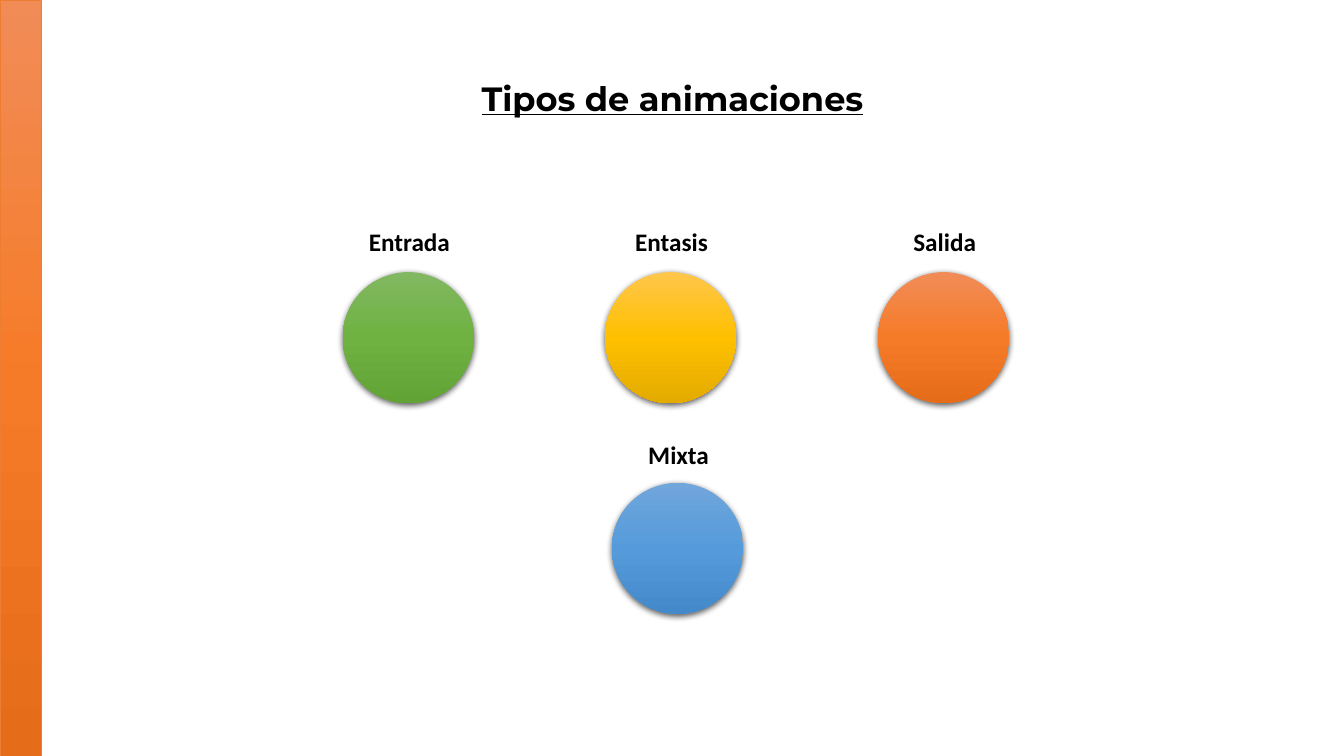
from copy import deepcopy

from lxml.etree import SubElement
from pptx import Presentation
from pptx.dml.color import RGBColor
from pptx.enum.shapes import MSO_SHAPE
from pptx.enum.text import MSO_ANCHOR, MSO_AUTO_SIZE, PP_ALIGN
from pptx.oxml.ns import qn
from pptx.util import Inches, Pt

BLACK = RGBColor(0x00, 0x00, 0x00)
ORANGE_LINE = RGBColor(0xED, 0x7D, 0x31)
GREEN = (RGBColor(0x81, 0xB8, 0x61), RGBColor(0x6F, 0xB2, 0x42), RGBColor(0x62, 0xA3, 0x36))
YELLOW = (RGBColor(0xFF, 0xC6, 0x4B), RGBColor(0xFF, 0xC0, 0x00), RGBColor(0xE3, 0xAB, 0x00))
ORANGE = (RGBColor(0xF1, 0x8C, 0x57), RGBColor(0xF6, 0x7B, 0x28), RGBColor(0xE5, 0x6C, 0x19))
BLUE = (RGBColor(0x71, 0xA6, 0xDB), RGBColor(0x55, 0x9B, 0xDB), RGBColor(0x44, 0x8A, 0xCA))

DIAMETER = 1.3
LABEL_HEIGHT = 0.4
# Label, label width, label top, circle left, circle top, gradient
ANIMATIONS = (
    ("Entrada", 1.01, 2.2, 3.4, 2.7, GREEN),
    ("Entasis", 0.93, 2.2, 6.0, 2.7, YELLOW),
    ("Salida", 0.83, 2.2, 8.71, 2.7, ORANGE),
    ("Mixta", 0.81, 4.31, 6.07, 4.79, BLUE),
)


def write_text(box, text, *, font, size, bold=True, underline=False):
    frame = box.text_frame
    frame.word_wrap = False
    frame.auto_size = MSO_AUTO_SIZE.SHAPE_TO_FIT_TEXT
    frame.vertical_anchor = MSO_ANCHOR.TOP
    para = frame.paragraphs[0]
    para.alignment = PP_ALIGN.CENTER
    span = para.add_run()
    span.text = text
    span.font.name = font
    span.font.size = Pt(size)
    span.font.bold = bold
    span.font.underline = underline
    span.font.color.rgb = BLACK


def add_title(slide, text):
    title = slide.shapes.title
    title.left, title.top = Inches(4.56), Inches(0.72)
    title.width, title.height = Inches(4.22), Inches(0.5)
    write_text(title, text, font="Montserrat", size=24, underline=True)


def fill_gradient(shape, colors):
    """Fill from top to bottom with evenly spaced colours."""
    shape.fill.gradient()
    shape.fill.gradient_angle = 270
    stop_list = shape.fill.gradient_stops
    first_stop = shape._element.spPr.find(".//" + qn("a:gs"))
    for _ in range(len(colors) - len(stop_list)):
        first_stop.addnext(deepcopy(first_stop))
    for index, (stop, color) in enumerate(zip(shape.fill.gradient_stops, colors)):
        stop.position = index / (len(colors) - 1)
        stop.color.rgb = color


def add_gradient_shape(slide, kind, left, top, width, height, colors):
    shape = slide.shapes.add_shape(
        kind, Inches(left), Inches(top), Inches(width), Inches(height))
    fill_gradient(shape, colors)
    shape.line.fill.background()
    shape.shadow.inherit = False
    return shape


def add_soft_shadow(shape):
    effects = shape._element.spPr.find(qn("a:effectLst"))
    shadow = SubElement(effects, qn("a:outerShdw"), blurRad=str(Pt(4.5)),
                        dist=str(Pt(1.5)), dir="5400000", algn="ctr", rotWithShape="0")
    color = SubElement(shadow, qn("a:srgbClr"), val=str(BLACK))
    SubElement(color, qn("a:alpha"), val="63000")


def add_label(slide, text, center, top, width):
    box = slide.shapes.add_textbox(
        Inches(center - width / 2), Inches(top), Inches(width), Inches(LABEL_HEIGHT))
    write_text(box, text, font="Calibri", size=18)


def main():
    deck = Presentation()
    deck.slide_width, deck.slide_height = Inches(13.33), Inches(7.5)
    slide = deck.slides.add_slide(deck.slide_layouts.get_by_name("Title Only"))

    add_title(slide, "Tipos de animaciones")
    for text, label_width, label_top, left, top, colors in ANIMATIONS:
        circle = add_gradient_shape(
            slide, MSO_SHAPE.OVAL, left, top, DIAMETER, DIAMETER, colors)
        add_soft_shadow(circle)
        add_label(slide, text, left + DIAMETER / 2 + 0.01, label_top, label_width)

    side_bar = add_gradient_shape(slide, MSO_SHAPE.RECTANGLE, 0, 0, 0.41, 7.5, ORANGE)
    side_bar.line.color.rgb = ORANGE_LINE
    side_bar.line.width = Pt(0.5)

    deck.save("out.pptx")


if __name__ == "__main__":
    main()
